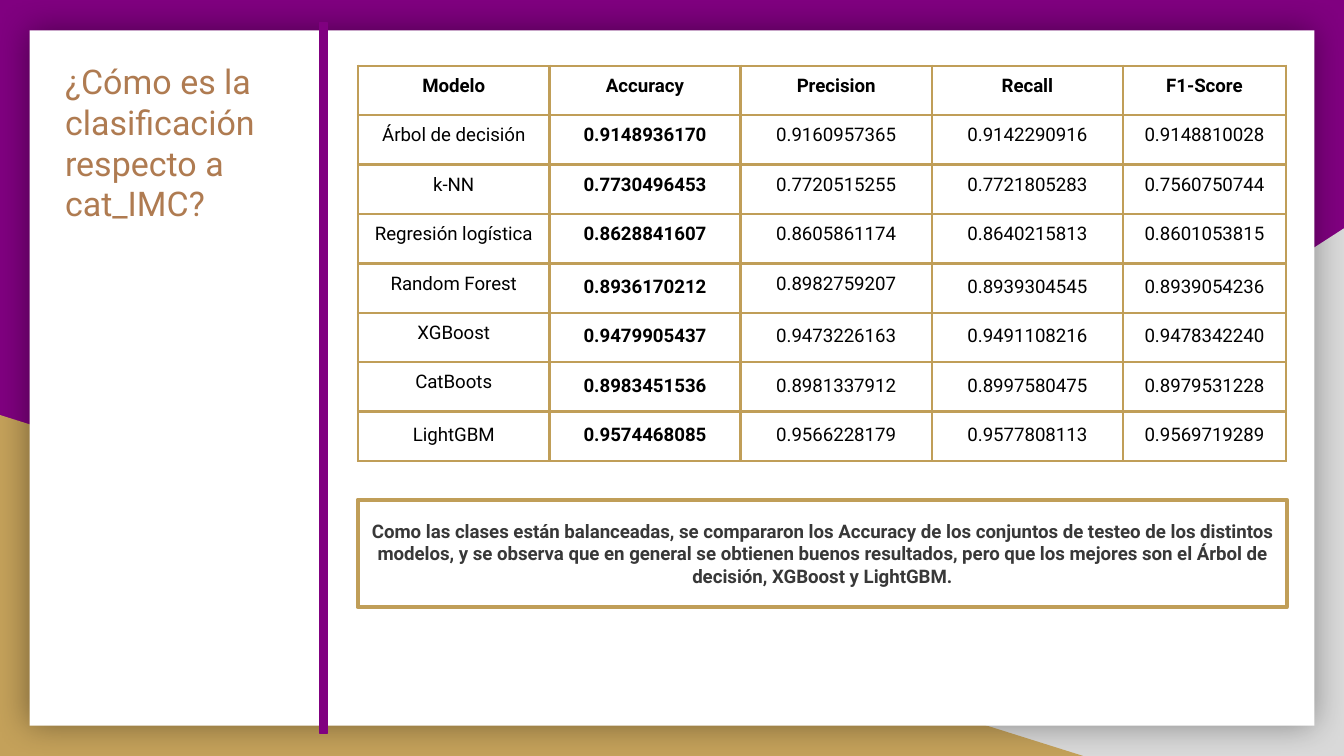
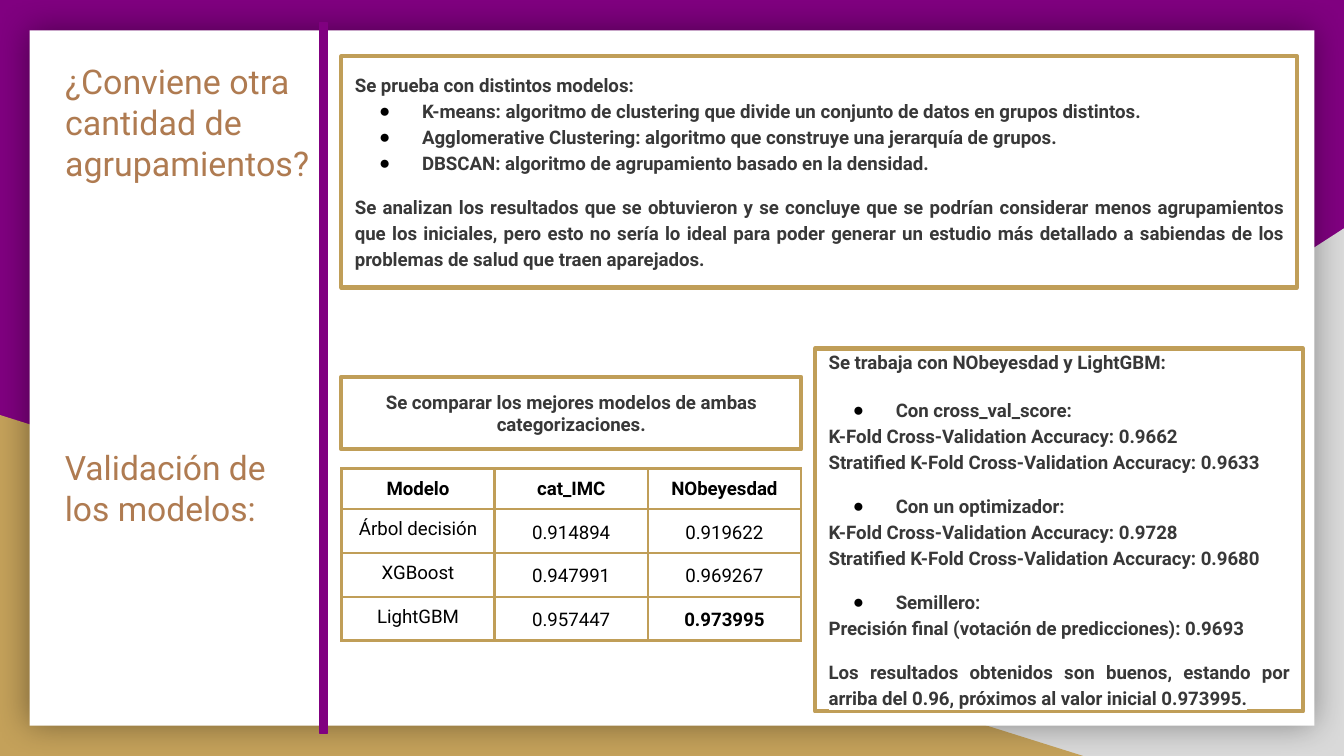
"""Build two slides on obesity classification results and model validation."""
from lxml import etree
from pptx import Presentation, util as u
from pptx.dml.color import RGBColor
from pptx.enum import shapes, text
from pptx.oxml import ns

COLOURS = {
    "purple": "800080", "gold": "C4A15A", "grey": "D9D9D9", "white": "FFFFFF",
    "title": "AF7B51", "border": "C09E58", "body": "383838", "black": "000000",
}
FONT = "Roboto"
LEFT, CENTER, JUSTIFY = text.PP_ALIGN.LEFT, text.PP_ALIGN.CENTER, text.PP_ALIGN.JUSTIFY
TOP, MIDDLE = text.MSO_ANCHOR.TOP, text.MSO_ANCHOR.MIDDLE

presentation = Presentation()
presentation.slide_width = u.Inches(10)
presentation.slide_height = u.Inches(10 * 9 / 16)
COLUMN = presentation.slide_width / 100
ROW = presentation.slide_height / 100


def add_colour(parent, tag, name):
    """Append an XML element holding one palette colour."""
    element = etree.SubElement(parent, ns.qn(tag))
    return etree.SubElement(element, ns.qn("a:srgbClr"), val=COLOURS[name])


def write_text(frame, words, size=10, colour="body", bold=False, align=LEFT,
               spacing=1.0, before=0, after=0, bullet=False, highlight=False):
    """Write one formatted paragraph at the end of a text frame."""
    paragraph = frame.add_paragraph() if frame.text else frame.paragraphs[0]
    paragraph.alignment = align
    paragraph.line_spacing = spacing
    paragraph.space_before, paragraph.space_after = u.Pt(before), u.Pt(after)
    properties = paragraph._p.get_or_add_pPr()
    properties.set("marL", str(u.Inches(0.5) if bullet else 0))
    properties.set("indent", str(u.Inches(-0.32) if bullet else 0))
    if bullet:
        add_colour(properties, "a:buClr", "black")
        etree.SubElement(properties, ns.qn("a:buChar"), char="●")
    else:
        etree.SubElement(properties, ns.qn("a:buNone"))
    run = paragraph.add_run()
    run.text = words
    run.font.size, run.font.bold = u.Pt(size), bold
    run.font.color.rgb = RGBColor.from_string(COLOURS[colour])
    if highlight:
        add_colour(run.font._element, "a:highlight", "white")
    run.font.name = FONT


classification = presentation.slides.add_slide(presentation.slide_layouts[1])
validation = presentation.slides.add_slide(presentation.slide_layouts[3])

master = presentation.slide_master
master.background.fill.solid()
master.background.fill.fore_color.rgb = RGBColor.from_string(COLOURS["purple"])
TRIANGLE = shapes.MSO_SHAPE.RIGHT_TRIANGLE
RECTANGLE = shapes.MSO_SHAPE.RECTANGLE
backdrop = [
    (TRIANGLE, "grey", 39.2, 30.2, 60.8, 69.8),
    (TRIANGLE, "gold", 0, 54.9, 80.6, 45.1),
    (RECTANGLE, "white", 2.2, 4, 95.6, 92),
]
for index, (kind, colour, left, top, width, height) in enumerate(backdrop):
    shape = classification.shapes.add_shape(
        kind, int(left * COLUMN), int(top * ROW), int(width * COLUMN), int(height * ROW))
    shape.fill.solid()
    shape.fill.fore_color.rgb = RGBColor.from_string(COLOURS[colour])
    shape.line.fill.background()
    shape.shadow.inherit = False
    properties = shape.element.spPr
    if colour == "grey":
        properties.find(ns.qn("a:xfrm")).set("flipH", "1")
    if colour == "white":
        shadow = etree.SubElement(
            properties.find(ns.qn("a:effectLst")), ns.qn("a:outerShdw"),
            blurRad=str(u.Pt(18)), dist="0", dir="0", algn="ctr", rotWithShape="0")
        shadow_colour = etree.SubElement(shadow, ns.qn("a:srgbClr"), val=COLOURS["black"])
        etree.SubElement(shadow_colour, ns.qn("a:alpha"), val="40000")
    master.shapes.element.insert(2 + index, shape.element)

for slide in presentation.slides:
    bar = slide.shapes.add_shape(
        RECTANGLE, int(23.8 * COLUMN), int(3.05 * ROW), int(0.6 * COLUMN), int(93.9 * ROW))
    bar.shadow.inherit = False
    bar.fill.solid()
    bar.fill.fore_color.rgb = RGBColor.from_string(COLOURS["purple"])
    bar.line.color.rgb = RGBColor.from_string(COLOURS["purple"])
    bar.line.width = u.Pt(0.75)

headings = [
    (classification.shapes.title, "¿Cómo es la clasificación respecto a cat_IMC?",
     18.2, 6.25, 19.9, 35.4),
    (validation.shapes.title, "¿Conviene otra cantidad de agrupamientos?",
     18.2, 6.25, 21.1, 35.4),
    (validation.shapes.add_textbox(0, 0, 0, 0), "Validación de los modelos:",
     18, 57.4, 19.1, 14.4),
]
for shape, words, size, top, width, height in headings:
    shape.left, shape.top = int(3.84 * COLUMN), int(top * ROW)
    shape.width, shape.height = int(width * COLUMN), int(height * ROW)
    frame = shape.text_frame
    frame.word_wrap, frame.auto_size = True, text.MSO_AUTO_SIZE.NONE
    frame.vertical_anchor = TOP
    frame.margin_left = frame.margin_right = u.Inches(0.1)
    frame.margin_top = frame.margin_bottom = u.Inches(0.1)
    write_text(frame, words, size=size, colour="title")

centred = {"align": CENTER}
item = {"align": JUSTIFY, "spacing": 1.15, "bullet": True}
next_item = {**item, "before": 10}
result = {"align": JUSTIFY, "spacing": 1.15}
closing = {**result, "before": 10, "after": 10}
cards = [
    (classification.placeholders[1], 26.62, 66.1, 69.12, 14.2, [
        ("Como las clases están balanceadas, se compararon los Accuracy de los conjuntos "
         "de testeo de los distintos modelos, y se observa que en general se obtienen "
         "buenos resultados, pero que los mejores son el Árbol de decisión, XGBoost y "
         "LightGBM.", centred),
    ]),
    (validation.placeholders[1], 25.4, 7.45, 71.1, 30.6, [
        ("Se prueba con distintos modelos:", {}),
        ("K-means: algoritmo de clustering que divide un conjunto de datos en grupos "
         "distintos.", item),
        ("Agglomerative Clustering: algoritmo que construye una jerarquía de grupos.", item),
        ("DBSCAN: algoritmo de agrupamiento basado en la densidad.", item),
        ("Se analizan los resultados que se obtuvieron y se concluye que se podrían "
         "considerar menos agrupamientos que los iniciales, pero esto no sería lo ideal "
         "para poder generar un estudio más detallado a sabiendas de los problemas de "
         "salud que traen aparejados.", closing),
    ]),
    (validation.placeholders[2], 60.65, 46.1, 36.3, 48, [
        ("Se trabaja con NObeyesdad y LightGBM:", {}),
        ("Con cross_val_score:", {**item, "before": 12}),
        ("K-Fold Cross-Validation Accuracy: 0.9662", result),
        ("Stratified K-Fold Cross-Validation Accuracy: 0.9633", result),
        ("Con un optimizador:", next_item),
        ("K-Fold Cross-Validation Accuracy: 0.9728", result),
        ("Stratified K-Fold Cross-Validation Accuracy: 0.9680", result),
        ("Semillero:", next_item),
        ("Precisión final (votación de predicciones): 0.9693", result),
        ("Los resultados obtenidos son buenos, estando por arriba del 0.96, próximos al "
         "valor inicial 0.973995.", closing),
    ]),
    (validation.shapes.add_shape(RECTANGLE, 0, 0, 0, 0), 25.4, 49.85, 34.2, 9.6, [
        ("Se comparar los mejores modelos de ambas categorizaciones.", centred),
    ]),
]
for shape, left, top, width, height, lines in cards:
    shape.left, shape.top = int(left * COLUMN), int(top * ROW)
    shape.width, shape.height = int(width * COLUMN), int(height * ROW)
    shape.shadow.inherit = False
    shape.fill.solid()
    shape.fill.fore_color.rgb = RGBColor.from_string(COLOURS["white"])
    shape.line.color.rgb = RGBColor.from_string(COLOURS["border"])
    shape.line.width = u.Pt(2.25)
    frame = shape.text_frame
    frame.word_wrap, frame.auto_size = True, text.MSO_AUTO_SIZE.NONE
    frame.vertical_anchor = MIDDLE
    frame.margin_left = frame.margin_right = u.Inches(0.1)
    frame.margin_top = frame.margin_bottom = u.Inches(0.1)
    for words, layout in lines:
        write_text(frame, words, bold=True, highlight=True, **layout)

scores = [
    ("Modelo", "Accuracy", "Precision", "Recall", "F1-Score"),
    ("Árbol de decisión", "0.9148936170", "0.9160957365", "0.9142290916", "0.9148810028"),
    ("k-NN", "0.7730496453", "0.7720515255", "0.7721805283", "0.7560750744"),
    ("Regresión logística", "0.8628841607", "0.8605861174", "0.8640215813", "0.8601053815"),
    ("Random Forest", "0.8936170212", "0.8982759207", "0.8939304545", "0.8939054236"),
    ("XGBoost", "0.9479905437", "0.9473226163", "0.9491108216", "0.9478342240"),
    ("CatBoots", "0.8983451536", "0.8981337912", "0.8997580475", "0.8979531228"),
    ("LightGBM", "0.9574468085", "0.9566228179", "0.9577808113", "0.9569719289"),
]
comparison = [
    ("Modelo", "cat_IMC", "NObeyesdad"),
    ("Árbol decisión", "0.914894", "0.919622"),
    ("XGBoost", "0.947991", "0.969267"),
    ("LightGBM", "0.957447", "0.973995"),
]
tables = [
    (classification, scores, 26.64, 8.7, [14.23] * 4 + [12.12], [6.54] * 8,
     {(row, 1) for row in range(1, 8)}, 4, {(4, 0), (4, 2), (5, 0), (6, 0)}),
    (validation, comparison, 25.4, 62, [11.4] * 3, [5.3] + [5.8] * 3,
     {(3, 2)}, 1, {(1, 0), (2, 0), (3, 0)}),
]
for slide, rows, left, top, widths, heights, bold_cells, first_spaced, tight_cells in tables:
    table = slide.shapes.add_table(
        len(rows), len(widths), int(left * COLUMN), int(top * ROW),
        int(sum(widths) * COLUMN), int(sum(heights) * ROW)).table
    table.first_row = table.horz_banding = False
    for column, width in zip(table.columns, widths):
        column.width = int(width * COLUMN)
    for row_index, (values, height) in enumerate(zip(rows, heights)):
        table.rows[row_index].height = int(height * ROW)
        for column_index, value in enumerate(values):
            cell = table.cell(row_index, column_index)
            position = (row_index, column_index)
            cell.margin_left = cell.margin_right = u.Inches(0.07)
            cell.margin_top = cell.margin_bottom = u.Inches(0.07)
            properties = cell._tc.get_or_add_tcPr()
            for side in ("a:lnL", "a:lnR", "a:lnT", "a:lnB"):
                border = etree.SubElement(properties, ns.qn(side), w=str(u.Pt(1.5)))
                add_colour(border, "a:solidFill", "border")
            cell.fill.background()
            spaced = row_index >= first_spaced and position not in tight_cells
            write_text(cell.text_frame, value, colour="black", align=CENTER,
                       bold=row_index == 0 or position in bold_cells,
                       spacing=1.15 if spaced else 1.0)

presentation.save("out.pptx")
